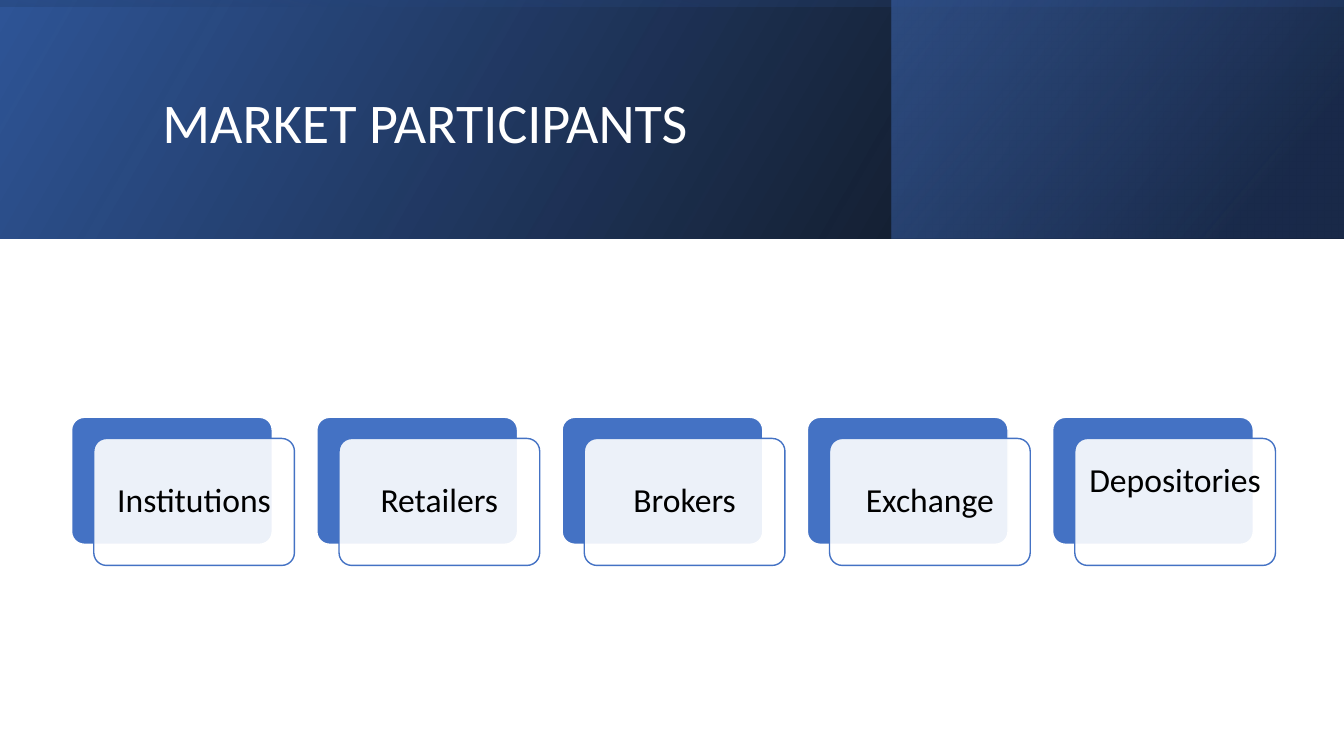
from dataclasses import dataclass
from lxml import etree
from pptx import Presentation
from pptx.dml.color import RGBColor
from pptx.enum.shapes import MSO_SHAPE
from pptx.enum.text import MSO_ANCHOR, MSO_AUTO_SIZE, PP_ALIGN
from pptx.oxml.ns import qn
from pptx.util import Inches, Pt

RECT, ROUNDED = MSO_SHAPE.RECTANGLE, MSO_SHAPE.ROUNDED_RECTANGLE
MIDDLE, NO_FIT = MSO_ANCHOR.MIDDLE, MSO_AUTO_SIZE.NONE
LEFT, CENTER = PP_ALIGN.LEFT, PP_ALIGN.CENTER


@dataclass(frozen=True)
class Theme:
    font: str = "Calibri"
    title_size: int = 40
    label_size: int = 24
    white: str = "FFFFFF"
    black: str = "000000"
    accent: str = "4472C4"
    deep: str = "2F5597"
    navy: str = "203864"


THEME = Theme()
WIDTH, HEIGHT = 13.33, 7.5
BAND_HEIGHT = 2.37
PANEL_LEFT = 8.84

TITLE = "MARKET PARTICIPANTS"
PARTICIPANTS = [
    ("Institutions", 0.1),
    ("Retailers", 0.1),
    ("Brokers", 0.1),
    ("Exchange", 0.1),
    ("Depositories", 0.5),
]
BANDS = [
    ((0, 0, WIDTH, BAND_HEIGHT), 0, 330,
     [(0, THEME.black, 96), (100, THEME.deep, 100)]),
    ((PANEL_LEFT, 0, WIDTH - PANEL_LEFT, BAND_HEIGHT), 0, 320,
     [(19, THEME.navy, 68), (100, THEME.accent, 48)]),
    (((WIDTH - BAND_HEIGHT) / 2, (BAND_HEIGHT - WIDTH) / 2, BAND_HEIGHT, WIDTH), 270, 350,
     [(23, THEME.deep, 16), (99, THEME.black, 45)]),
]
FIRST_LEFT, LAST_LEFT, CARD_TOP = 0.71, 10.44, 4.14
CARD_WIDTH, CARD_HEIGHT = 1.99, 1.26
SHIFT_X, SHIFT_Y = 0.22, 0.21


def rgb(color):
    return RGBColor.from_string(color)


def set_alpha(color_element, percent):
    etree.SubElement(color_element, qn("a:alpha"), val=str(percent * 1000))


def add_box(shapes, kind, box):
    sp = shapes.add_shape(kind, *map(Inches, box))
    sp.shadow.inherit = False
    return sp


def add_band(shapes, box, rotation, angle, stops):
    sp = add_box(shapes, RECT, box)
    sp.rotation = rotation
    sp.line.fill.background()
    sp.fill.background()
    properties = sp.element.spPr
    properties.find(qn("a:xfrm")).set("flipH", "1")
    gradient = etree.Element(qn("a:gradFill"), rotWithShape="1")
    stop_list = etree.SubElement(gradient, qn("a:gsLst"))
    for position, color, alpha in stops:
        stop = etree.SubElement(stop_list, qn("a:gs"), pos=str(position * 1000))
        set_alpha(etree.SubElement(stop, qn("a:srgbClr"), val=color), alpha)
    etree.SubElement(gradient, qn("a:lin"), ang=str(angle * 60000), scaled="0")
    properties.replace(properties.find(qn("a:noFill")), gradient)


def add_card(shapes, left, top, fill, line):
    sp = add_box(shapes, ROUNDED, (left, top, CARD_WIDTH, CARD_HEIGHT))
    sp.adjustments[0] = 0.1
    sp.fill.solid()
    sp.fill.fore_color.rgb = rgb(fill)
    sp.line.color.rgb = rgb(line)
    sp.line.width = Pt(1)
    return sp


def write(sp, text, size, color, align):
    tf = sp.text_frame
    tf.text = text
    tf.word_wrap = True
    tf.auto_size = NO_FIT
    tf.vertical_anchor = MIDDLE
    p = tf.paragraphs[0]
    p.alignment = align
    p.line_spacing = 0.9
    p.font.name = THEME.font
    p.font.size = Pt(size)
    p.font.color.rgb = rgb(color)
    return tf


def add_participant(shapes, left, name, bottom_inset):
    add_card(shapes, left, CARD_TOP, THEME.accent, THEME.white)
    front = add_card(shapes, left + SHIFT_X, CARD_TOP + SHIFT_Y, THEME.white, THEME.accent)
    set_alpha(front.element.spPr.find(qn("a:solidFill"))[0], 90)
    tf = write(front, name, THEME.label_size, THEME.black, CENTER)
    tf.margin_left = tf.margin_right = Inches(0.08)
    tf.margin_top, tf.margin_bottom = Inches(0.1), Inches(bottom_inset)


def main():
    prs = Presentation()
    prs.slide_width, prs.slide_height = Inches(WIDTH), Inches(HEIGHT)
    s = prs.slides.add_slide(prs.slide_layouts[5])

    for band in BANDS:
        add_band(s.shapes, *band)

    title = s.shapes.title
    title.left, title.top, title.width, title.height = map(Inches, (1.51, 0.38, 10.63, 1.72))
    write(title, TITLE, THEME.title_size, THEME.white, LEFT)
    title.element.getparent().append(title.element)

    group = s.shapes.add_group_shape()
    step = (LAST_LEFT - FIRST_LEFT) / (len(PARTICIPANTS) - 1)
    for i, (name, bottom_inset) in enumerate(PARTICIPANTS):
        add_participant(group.shapes, FIRST_LEFT + i * step, name, bottom_inset)

    prs.save("out.pptx")


if __name__ == "__main__":
    main()
